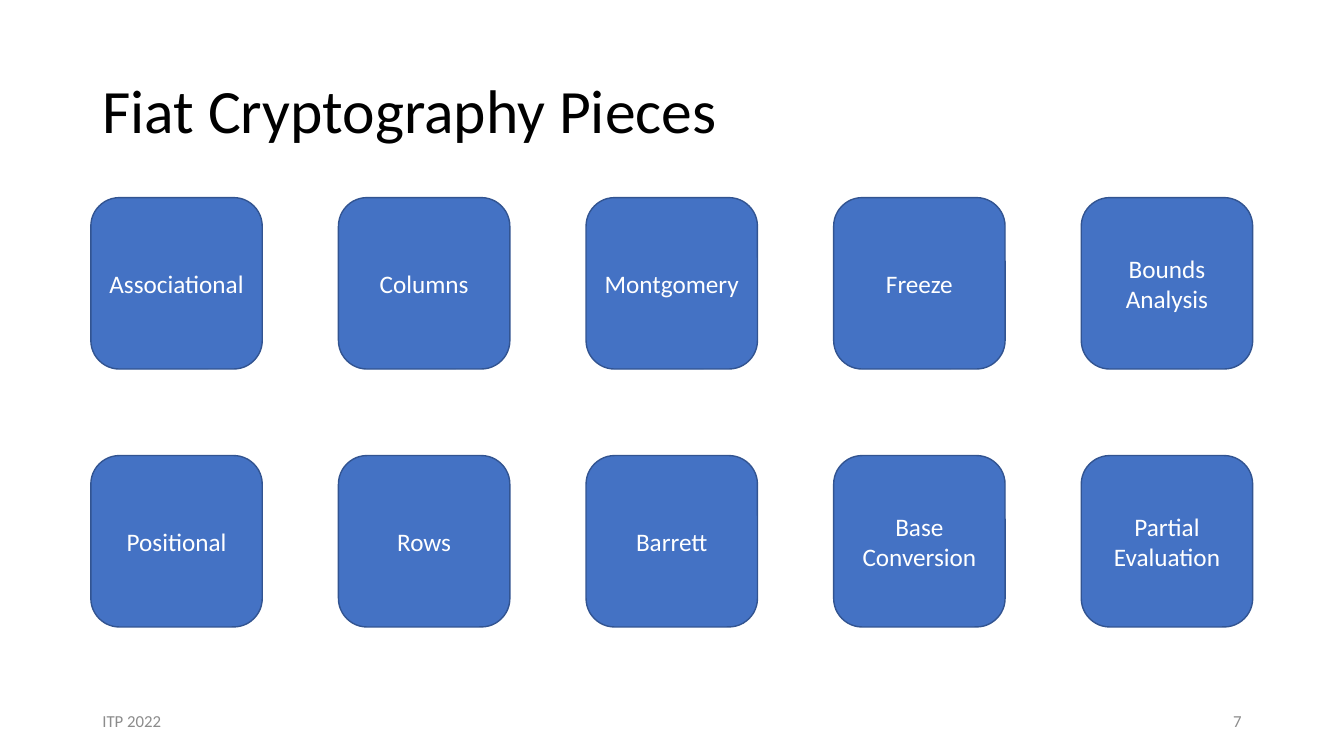
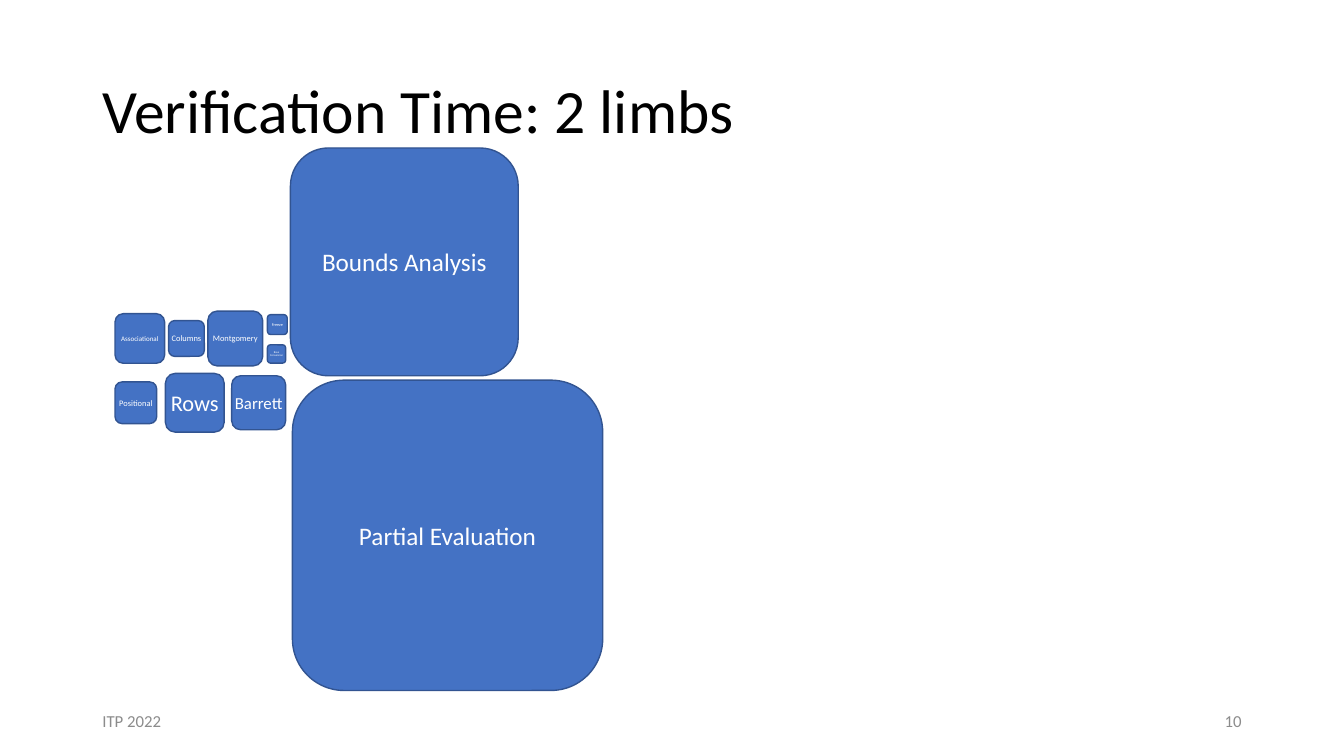
from dataclasses import dataclass

from pptx import Presentation
from pptx.dml.color import RGBColor
from pptx.enum.shapes import MSO_SHAPE
from pptx.enum.text import MSO_ANCHOR, PP_ALIGN
from pptx.util import Cm, Pt

ROUNDED = MSO_SHAPE.ROUNDED_RECTANGLE
MIDDLE = MSO_ANCHOR.MIDDLE
LEFT, CENTER, RIGHT = PP_ALIGN.LEFT, PP_ALIGN.CENTER, PP_ALIGN.RIGHT


@dataclass(frozen=True)
class Theme:
    font: str = "Calibri"
    title: RGBColor = RGBColor.from_string("000000")
    footer: RGBColor = RGBColor.from_string("8C8C8C")
    fill: RGBColor = RGBColor.from_string("4472C4")
    line: RGBColor = RGBColor.from_string("325491")
    label: RGBColor = RGBColor.from_string("FFFFFF")
    title_size: float = 44
    label_size: float = 18
    footer_size: float = 12


THEME = Theme()
FOOTER = "ITP 2022"

PIECES_TITLE = "Fiat Cryptography Pieces"
PIECES_NUMBER = 7
PIECES = [
    ["Associational", "Columns", "Montgomery", "Freeze", "Bounds Analysis"],
    ["Positional", "Rows", "Barrett", "Base Conversion", "Partial Evaluation"],
]
GRID_LEFT, GRID_TOP = 2.29, 4.98
COLUMN_STEP, ROW_STEP = 6.24, 6.5
PIECE_SIDE = 4.32

TIMES_TITLE = "Verification Time: 2 limbs"
TIMES_NUMBER = 10
UPPER_ROW, LOWER_ROW = 8.53, 10.15
# name, left, vertical centre, side, type size
TIMES = [
    ("Associational", 2.9, UPPER_ROW, 1.25, 5),
    ("Positional", 2.9, LOWER_ROW, 1.05, 6),
    ("Columns", 4.25, UPPER_ROW, 0.9, 6),
    ("Rows", 4.17, LOWER_ROW, 1.48, 16),
    ("Montgomery", 5.24, UPPER_ROW, 1.38, 6),
    ("Barrett", 5.84, LOWER_ROW, 1.36, 12),
    ("Freeze", 6.74, 8.18, 0.5, 3),
    ("Base Conversion", 6.74, 8.92, 0.46, 2),
    ("Bounds Analysis", 7.32, 6.6, 5.74, THEME.label_size),
    ("Partial Evaluation", 7.37, 13.49, 7.82, THEME.label_size),
]


def set_text(shape, text, size, color, alignment):
    frame = shape.text_frame
    frame.word_wrap = True
    frame.vertical_anchor = MIDDLE
    paragraph = frame.paragraphs[0]
    paragraph.text = text
    paragraph.alignment = alignment
    paragraph.font.name = THEME.font
    paragraph.font.size = Pt(size)
    paragraph.font.color.rgb = color
    return paragraph


def add_text(slide, box, text, size, color, alignment=LEFT):
    shape = slide.shapes.add_textbox(*map(Cm, box))
    return set_text(shape, text, size, color, alignment)


def add_piece(slide, name, left, top, side, size=THEME.label_size):
    shape = slide.shapes.add_shape(ROUNDED, Cm(left), Cm(top), Cm(side), Cm(side))
    shape.shadow.inherit = False
    shape.fill.solid()
    shape.fill.fore_color.rgb = THEME.fill
    shape.line.color.rgb = THEME.line
    shape.line.width = Pt(1)
    frame = shape.text_frame
    frame.margin_left = frame.margin_right = 0
    frame.margin_top = frame.margin_bottom = 0
    set_text(shape, name, size, THEME.label, CENTER)


def add_slide(presentation, title, number):
    slide = presentation.slides.add_slide(presentation.slide_layouts[6])
    heading = add_text(slide, (2.33, 1.01, 29.21, 3.68), title,
                       THEME.title_size, THEME.title)
    heading.line_spacing = 0.9
    for left, text, alignment in ((2.33, FOOTER, LEFT), (23.92, str(number), RIGHT)):
        add_text(slide, (left, 17.66, 7.62, 1.01), text,
                 THEME.footer_size, THEME.footer, alignment)
    return slide


def add_pieces_slide(presentation):
    slide = add_slide(presentation, PIECES_TITLE, PIECES_NUMBER)
    for row, names in enumerate(PIECES):
        for column, name in enumerate(names):
            add_piece(slide, name, GRID_LEFT + column * COLUMN_STEP,
                      GRID_TOP + row * ROW_STEP, PIECE_SIDE)


def add_times_slide(presentation):
    slide = add_slide(presentation, TIMES_TITLE, TIMES_NUMBER)
    for name, left, centre, side, size in TIMES:
        add_piece(slide, name, left, centre - side / 2, side, size)


def main():
    presentation = Presentation()
    presentation.slide_width = Cm(33.87)
    presentation.slide_height = Cm(19.05)
    add_pieces_slide(presentation)
    add_times_slide(presentation)
    presentation.save("out.pptx")


if __name__ == "__main__":
    main()
